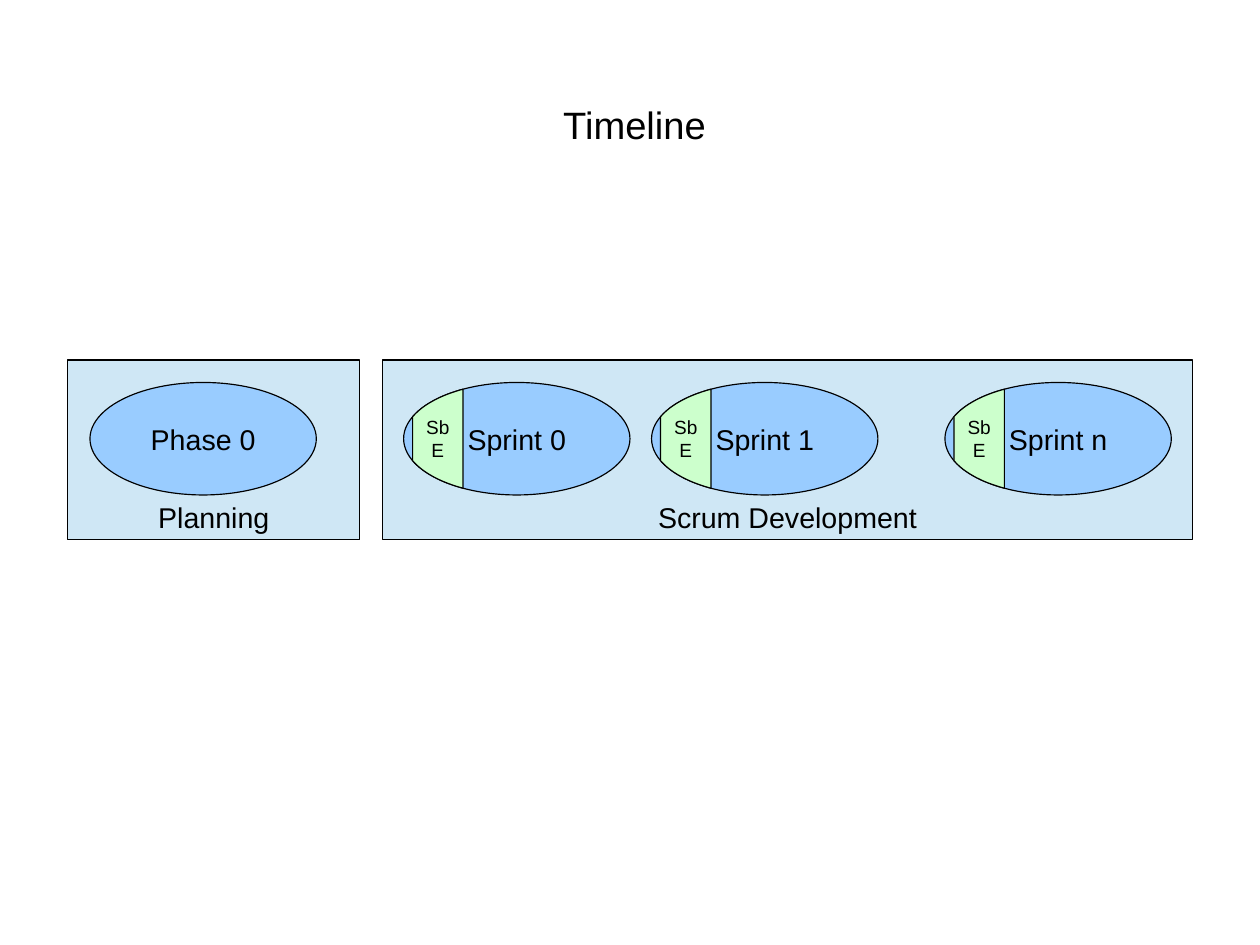
from dataclasses import dataclass
from math import sqrt

from pptx import Presentation
from pptx.dml.color import RGBColor as RGB
from pptx.enum.shapes import MSO_SHAPE as Geom
from pptx.enum.text import MSO_ANCHOR as Anchor, PP_ALIGN as Align
from pptx.shapes.autoshape import Shape
from pptx.shapes.shapetree import SlideShapes
from pptx.util import Cm, Pt


@dataclass(frozen=True)
class Theme:
    font: str = "Arial"
    ink: RGB = RGB(0x00, 0x00, 0x00)
    panel: RGB = RGB(0xCF, 0xE7, 0xF5)
    oval: RGB = RGB(0x99, 0xCC, 0xFF)
    slice: RGB = RGB(0xCC, 0xFF, 0xCC)
    title: int = 24
    label: int = 18
    small: int = 12


@dataclass(frozen=True)
class Panel:
    text: str
    left: float
    width: float


@dataclass(frozen=True)
class Phase:
    text: str
    left: float
    sliced: bool = True


THEME = Theme()
PANELS = [Panel("Scrum Development", 8.5, 18), Panel("Planning", 1.5, 6.5)]
PHASES = [
    Phase("Phase 0", 2, sliced=False),
    Phase("Sprint 0", 8.97),
    Phase("Sprint 1", 14.48),
    Phase("Sprint n", 21),
]
PANEL_TOP, PANEL_HIGH = 8, 4
OVAL_TOP, OVAL_WIDE, OVAL_HIGH = 8.5, 5.03, 2.5
CUT_FROM, CUT_TO, STEPS = 0.2, 1.32, 16


def write(shape: Shape, text: str, size: int, anchor: Anchor, inset: float = 0.25) -> None:
    frame = shape.text_frame
    look = {
        "word_wrap": True,
        "vertical_anchor": anchor,
        "margin_left": Cm(inset),
        "margin_right": Cm(inset),
        "margin_top": Cm(inset / 2),
        "margin_bottom": Cm(inset / 2),
    }
    for name, value in look.items():
        setattr(frame, name, value)
    frame.text = text
    line = frame.paragraphs[0]
    line.alignment = Align.CENTER
    font = line.runs[0].font
    for name, value in {"name": THEME.font, "size": Pt(size)}.items():
        setattr(font, name, value)
    font.color.rgb = THEME.ink


def paint(shape: Shape, fill: RGB) -> None:
    shape.shadow.inherit = False
    shape.fill.solid()
    shape.fill.fore_color.rgb = fill
    shape.line.color.rgb = THEME.ink
    shape.line.width = Pt(0)


def add_panel(shapes: SlideShapes, panel: Panel) -> None:
    box = shapes.add_shape(Geom.RECTANGLE, Cm(panel.left), Cm(PANEL_TOP),
                           Cm(panel.width), Cm(PANEL_HIGH))
    paint(box, THEME.panel)
    write(box, panel.text, THEME.label, Anchor.BOTTOM)


def add_slice(shapes: SlideShapes, left: float) -> None:
    """Draw the part of an oval that lies between two upright cuts."""
    mid = OVAL_TOP + OVAL_HIGH / 2
    upper, lower = [], []
    for step in range(STEPS + 1):
        x = CUT_FROM + (CUT_TO - CUT_FROM) * step / STEPS
        rise = OVAL_HIGH / 2 * sqrt(1 - (1 - 2 * x / OVAL_WIDE) ** 2)
        upper.append((Cm(left + x), Cm(mid - rise)))
        lower.append((Cm(left + x), Cm(mid + rise)))
    path = shapes.build_freeform(*upper[0])
    path.add_line_segments(upper[1:] + lower[::-1], close=True)
    part = path.convert_to_shape()
    paint(part, THEME.slice)
    write(part, "SbE", THEME.small, Anchor.MIDDLE)


def add_phase(shapes: SlideShapes, phase: Phase) -> None:
    oval = shapes.add_shape(Geom.OVAL, Cm(phase.left), Cm(OVAL_TOP),
                            Cm(OVAL_WIDE), Cm(OVAL_HIGH))
    paint(oval, THEME.oval)
    write(oval, phase.text, THEME.label, Anchor.MIDDLE)
    if phase.sliced:
        add_slice(shapes, phase.left)


def add_title(title: Shape, text: str) -> None:
    place = {"left": 1.5, "top": 1, "width": 25.2, "height": 3.5}
    for name, value in place.items():
        setattr(title, name, Cm(value))
    write(title, text, THEME.title, Anchor.MIDDLE, inset=0)


def main() -> None:
    deck = Presentation()
    deck.slide_width, deck.slide_height = Cm(28), Cm(21)
    slide = deck.slides.add_slide(deck.slide_layouts.get_by_name("Title Only"))
    add_title(slide.shapes.title, "Timeline")
    for panel in PANELS:
        add_panel(slide.shapes, panel)
    for phase in PHASES:
        add_phase(slide.shapes, phase)
    deck.save("out.pptx")


if __name__ == "__main__":
    main()
